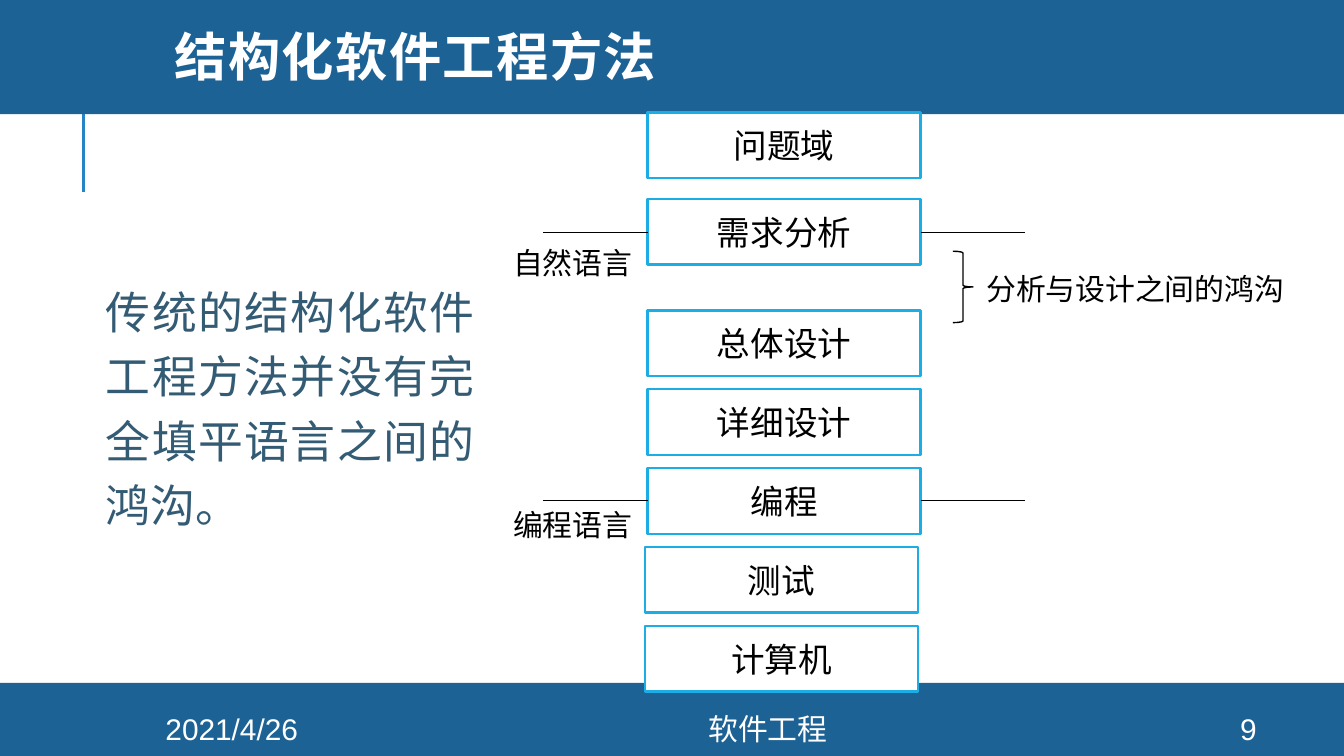
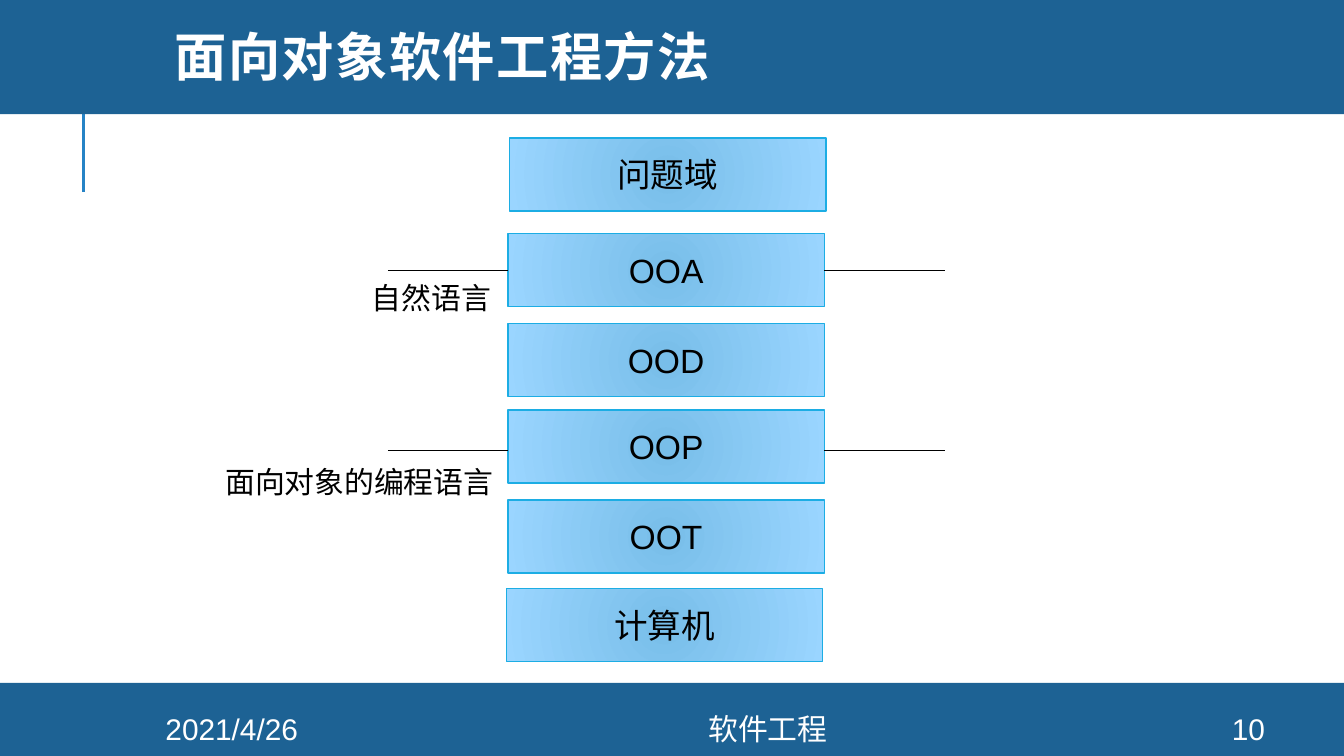
from lxml import etree
from pptx import Presentation
from pptx.dml.color import RGBColor
from pptx.enum.shapes import MSO_CONNECTOR, MSO_SHAPE
from pptx.enum.text import MSO_ANCHOR, MSO_AUTO_SIZE, PP_ALIGN
from pptx.oxml.ns import qn
from pptx.util import Cm, Pt

RECTANGLE, RIGHT_BRACE = MSO_SHAPE.RECTANGLE, MSO_SHAPE.RIGHT_BRACE
STRAIGHT = MSO_CONNECTOR.STRAIGHT
TOP, MIDDLE = MSO_ANCHOR.TOP, MSO_ANCHOR.MIDDLE
LEFT, CENTER, JUSTIFY = PP_ALIGN.LEFT, PP_ALIGN.CENTER, PP_ALIGN.JUSTIFY
GROW = MSO_AUTO_SIZE.SHAPE_TO_FIT_TEXT

COLORS = {
    "band": "1D6294",
    "accent": "2683C6",
    "outline": "1CADE4",
    "inner": "78BEE9",
    "outer": "9AD5FF",
    "body": "335B74",
    "white": "FFFFFF",
    "black": "000000",
}
BODY_FONT, TITLE_FONT = "Arial", "Montserrat"
PAGE_WIDTH, PAGE_HEIGHT = 25.4, 14.29


def color(name):
    return RGBColor.from_string(COLORS[name])


def write(frame, text, size, ink, align=LEFT, anchor=TOP, font=BODY_FONT):
    frame.text = text
    frame.vertical_anchor = anchor
    para = frame.paragraphs[0]
    para.alignment = align
    span = para.runs[0]
    span.font.size = Pt(size)
    span.font.name = font
    span.font.color.rgb = color(ink)
    return para


def add_text(page, place, text, size, ink, wrap=True, **style):
    box = page.shapes.add_textbox(*map(Cm, place))
    box.text_frame.word_wrap = wrap
    return box, write(box.text_frame, text, size, ink, **style)


def add_label(page, place, text, wrap=False):
    box, _ = add_text(page, place, text, 16, "black", wrap)
    box.text_frame.auto_size = GROW


def add_line(page, start, end, ink="black", width=0.75):
    line = page.shapes.add_connector(STRAIGHT, *map(Cm, start + end))
    line.line.color.rgb = color(ink)
    line.line.width = Pt(width)
    etree.SubElement(line._element.spPr, qn("a:effectLst"))


def add_band(page, top, height):
    band = page.shapes.add_shape(RECTANGLE, Cm(0), Cm(top), Cm(PAGE_WIDTH), Cm(height))
    band.shadow.inherit = False
    band.fill.solid()
    band.fill.fore_color.rgb = color("band")
    band.line.fill.background()


def fill_radial(shape):
    """Blend from the inner colour at the centre to the outer one at the edges."""
    shape.fill.gradient()
    for stop, name, position in zip(shape.fill.gradient_stops, ("inner", "outer"), (0, 1)):
        stop.color.rgb = color(name)
        stop.position = position
    gradient = shape._element.spPr.find(qn("a:gradFill"))
    gradient.remove(gradient.find(qn("a:lin")))
    circle = etree.SubElement(gradient, qn("a:path"), path="circle")
    etree.SubElement(circle, qn("a:fillToRect"), l="50000", t="50000", r="50000", b="50000")


def add_stage(page, place, text, line_width, radial):
    stage = page.shapes.add_shape(RECTANGLE, *map(Cm, place))
    stage.shadow.inherit = False
    if radial:
        fill_radial(stage)
    else:
        stage.fill.solid()
        stage.fill.fore_color.rgb = color("white")
    stage.line.color.rgb = color("outline")
    stage.line.width = Pt(line_width)
    frame = stage.text_frame
    frame.margin_left = frame.margin_right = Cm(0.18)
    frame.margin_top = frame.margin_bottom = Cm(0.1)
    write(frame, text, 18, "black", CENTER, MIDDLE)


def add_stages(page, stages, size, line_width, radial=False):
    for text, left, top in stages:
        add_stage(page, (left, top, *size), text, line_width, radial)


def add_language_level(page, left, right, y, reach):
    """Draw a line out of each side of a stage."""
    add_line(page, (left - reach, y), (left, y))
    add_line(page, (right, y), (right + reach, y))


def add_brace(page, place):
    brace = page.shapes.add_shape(RIGHT_BRACE, *map(Cm, place))
    brace.shadow.inherit = False
    brace.fill.background()
    brace.line.color.rgb = color("black")
    brace.line.width = Pt(0.75)


def add_page(deck, title, number):
    page = deck.slides.add_slide(deck.slide_layouts[6])
    add_line(page, (1.58, 3.63), (1.58, 1.73), "accent", 1.5)
    add_band(page, 12.91, PAGE_HEIGHT - 12.91)
    add_band(page, -0.07, 2.23)
    _, para = add_text(page, (3.05, 0, 21.56, 2.31), title, 28, "white",
                       anchor=MIDDLE, font=TITLE_FONT)
    para.line_spacing = 0.8
    span = para.runs[0]
    span.font.bold = True
    span.font._element.set("spc", "80")
    for text, left, width in (
        ("2021/4/26", 2.13, 4.5),
        ("软件工程", 6.63, 15.77),
        (str(number), 22.58, 2.03),
    ):
        add_text(page, (left, 13.49, width, 0.58), text, 16, "white",
                 align=CENTER, anchor=MIDDLE)
    return page


def add_structured_method(deck):
    page = add_page(deck, "结构化软件工程方法", 9)
    left, width, height = 12.24, 5.16, 1.24
    design_top, pitch = 5.87, 1.49
    stages = [("问题域", left, 2.13), ("需求分析", left, 3.76)]
    for row, text in enumerate(("总体设计", "详细设计", "编程", "测试", "计算机")):
        stage_left = left if row < 3 else left - 0.05
        stages.append((text, stage_left, design_top + row * pitch))
    add_stages(page, stages, (width, height), 1.25)

    for y, label_top, language in ((4.39, 4.5, "自然语言"), (9.46, 9.45, "编程语言")):
        add_language_level(page, left, left + width, y, 1.97)
        add_label(page, (9.45, label_top, 2.79, 0.94), language)
    add_brace(page, (18.01, 4.75, 0.38, 1.35))
    add_label(page, (18.39, 5, 6.22, 0.94), "分析与设计之间的鸿沟")

    box, para = add_text(page, (1.75, 5.05, 7.47, 5.08),
                         "传统的结构化软件工程方法并没有完全填平语言之间的鸿沟。",
                         24, "body", align=JUSTIFY)
    para.line_spacing = 1.2
    box.text_frame.auto_size = GROW


def add_object_oriented_method(deck):
    page = add_page(deck, "面向对象软件工程方法", 10)
    left, width, height = 9.6, 5.98, 1.38
    stages = (
        ("问题域", left + 0.03, 2.61),
        ("OOA", left, 4.42),
        ("OOD", left, 6.12),
        ("OOP", left, 7.75),
        ("OOT", left, 9.45),
        ("计算机", left - 0.03, 11.13),
    )
    add_stages(page, stages, (width, height), 0.75, radial=True)
    for y in (5.11, 8.52):
        add_language_level(page, left, left + width, y, 2.27)
    add_label(page, (6.78, 5.16, 2.79, 0.94), "自然语言")
    add_label(page, (4.01, 8.64, 5.61, 0.94), "面向对象的编程语言", wrap=True)


def main():
    deck = Presentation()
    deck.slide_width, deck.slide_height = Cm(PAGE_WIDTH), Cm(PAGE_HEIGHT)
    add_structured_method(deck)
    add_object_oriented_method(deck)
    deck.save("out.pptx")


if __name__ == "__main__":
    main()
